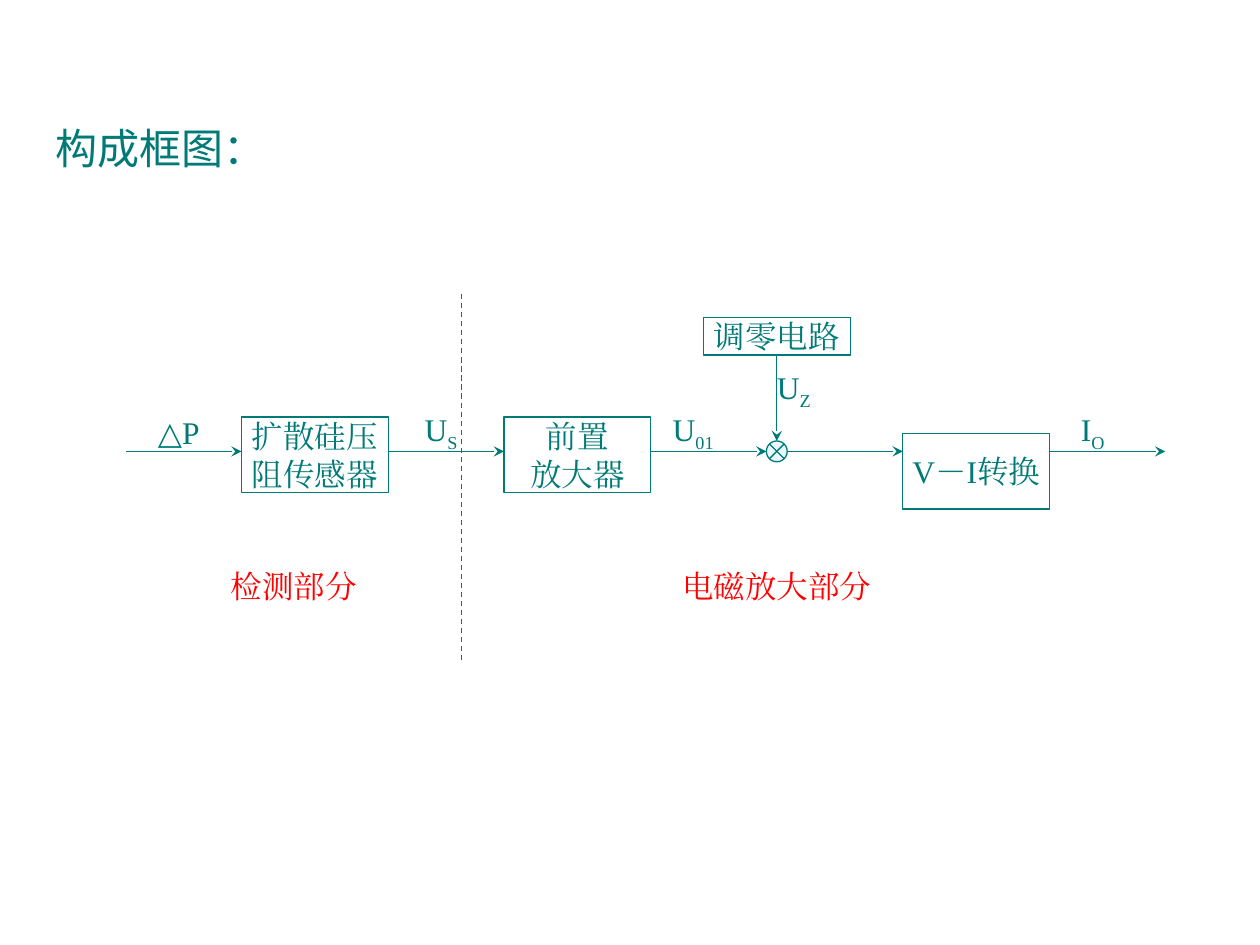
import pptx
import pptx.dml.color
import pptx.enum.dml
import pptx.enum.shapes
import pptx.enum.text
import pptx.oxml
import pptx.oxml.ns
import pptx.util

Cm = pptx.util.Cm
Pt = pptx.util.Pt
Align = pptx.enum.text.PP_ALIGN
Anchor = pptx.enum.text.MSO_ANCHOR
Shape = pptx.enum.shapes.MSO_SHAPE

COLORS = {"teal": "007A77", "red": "FF0000", "pale": "EBF7FF"}
BODY_FONT = "Times New Roman"
TITLE_FONT = "Noto Sans CJK SC"
BLOCK_WIDTH, LINE_HEIGHT = 2.96, 0.76
ARROW_LENGTH, JUNCTION_SIZE = 2.33, 0.42
LABEL_WIDTH = 1.27


def color(name):
    """Return a palette colour."""
    return pptx.dml.color.RGBColor.from_string(COLORS[name])


def add_child(parent, tag, **attributes):
    """Append a drawing element with attributes."""
    child = pptx.oxml.parse_xml(f"<a:{tag} {pptx.oxml.ns.nsdecls('a')}/>")
    for key, value in attributes.items():
        child.set(key, value)
    parent.append(child)


def add_span(para, text, size=18, ink="teal", font=BODY_FONT, subscript=False):
    """Add one formatted run."""
    span = para.add_run()
    span.text = text
    span.font.size = Pt(size)
    span.font.name = font
    span.font.color.rgb = color(ink)
    properties = span.font._element
    add_child(properties, "ea", typeface=font)
    if subscript:
        properties.set("baseline", "-25000")


def prepare_frame(frame, anchor):
    """Remove the insets of a wrapping text frame."""
    frame.margin_left = frame.margin_right = 0
    frame.margin_top = frame.margin_bottom = 0
    frame.word_wrap = True
    frame.vertical_anchor = anchor


def add_label(page, left, top, text, subscript="", width=LABEL_WIDTH, align=Align.CENTER, ink="teal"):
    """Place a signal or section name."""
    box = page.shapes.add_textbox(Cm(left), Cm(top), Cm(width), Cm(LINE_HEIGHT))
    prepare_frame(box.text_frame, Anchor.TOP)
    para = box.text_frame.paragraphs[0]
    para.alignment = align
    add_span(para, text, ink=ink)
    if subscript:
        add_span(para, subscript, ink=ink, subscript=True)


def add_outlined(page, kind, left, top, width, height):
    """Draw a flat shape with the diagram outline."""
    shape = page.shapes.add_shape(kind, Cm(left), Cm(top), Cm(width), Cm(height))
    shape.shadow.inherit = False
    shape.fill.background()
    shape.line.color.rgb = color("teal")
    shape.line.width = Pt(0.75)
    return shape


def add_block(page, left, top, lines, rows=2):
    """Draw a named block that is some text rows high."""
    block = add_outlined(page, Shape.RECTANGLE, left, top, BLOCK_WIDTH, rows * LINE_HEIGHT)
    frame = block.text_frame
    prepare_frame(frame, Anchor.MIDDLE)
    for index, text in enumerate(lines):
        para = frame.add_paragraph() if index else frame.paragraphs[0]
        para.alignment = Align.CENTER
        add_span(para, text)
    return block


def add_line(page, start, end, arrow=True):
    """Draw an arrow, or a dashed divider."""
    line = page.shapes.add_connector(
        pptx.enum.shapes.MSO_CONNECTOR.STRAIGHT, *(Cm(value) for value in (*start, *end)))
    line.line.color.rgb = color("teal")
    line.line.width = Pt(0.75)
    if arrow:
        add_child(line.line._get_or_add_ln(), "tailEnd", type="stealth")
    else:
        line.line.dash_style = pptx.enum.dml.MSO_LINE.DASH
    add_child(line._element.spPr, "effectLst")
    return line


def add_title(page, left, top, width, height):
    """Fill and place the title placeholder."""
    title = page.shapes.title
    title.left, title.top, title.width, title.height = map(Cm, (left, top, width, height))
    frame = title.text_frame
    frame.word_wrap = False
    frame.auto_size = pptx.enum.text.MSO_AUTO_SIZE.NONE
    frame.vertical_anchor = Anchor.MIDDLE
    para = frame.paragraphs[0]
    para.alignment = Align.LEFT
    add_span(para, "构成框图：", size=24, font=TITLE_FONT)


def add_zero_branch(page, center, top, bottom):
    """Draw the zeroing circuit feeding the junction below."""
    block = add_block(page, center - BLOCK_WIDTH / 2, top, ["调零电路"], rows=1)
    arrow = add_line(page, (center, top + LINE_HEIGHT), (center, bottom))
    arrow.begin_connect(block, 2)
    add_label(page, center, top + 1.02, "U", "Z", align=Align.LEFT)


def add_signal_chain(page, left, axis):
    """Draw the chain of arrows, blocks and junction along an axis."""
    stages = [
        (("△P", "", 0.43, 0.77, Align.CENTER), ["扩散硅压阻传感器"], 0.69),
        (("U", "S", 0.43, 0.84, Align.CENTER), ["前置", "放大器"], 0.69),
        (("U", "01", 0.22, 0.84, Align.CENTER), "junction", 0),
        (None, ["V－I转换"], 0.36),
        (("I", "O", 0.63, 0.84, Align.LEFT), None, 0),
    ]
    for signal, target, rise in stages:
        add_line(page, (left, axis), (left + ARROW_LENGTH, axis))
        if signal:
            text, subscript, shift, lift, align = signal
            add_label(page, left + shift, axis - lift, text, subscript, align=align)
        left += ARROW_LENGTH
        if target == "junction":
            radius = JUNCTION_SIZE / 2
            junction = add_outlined(page, Shape.FLOWCHART_SUMMING_JUNCTION, left,
                                    axis - radius, JUNCTION_SIZE, JUNCTION_SIZE)
            junction.fill.solid()
            junction.fill.fore_color.rgb = color("pale")
            add_zero_branch(page, left + radius, axis - 2.7, axis - radius)
            left += JUNCTION_SIZE
        elif target:
            add_block(page, left, axis - rise, target)
            left += BLOCK_WIDTH


def add_sections(page, divider, top, height):
    """Split the diagram and name both parts."""
    add_line(page, (divider, top), (divider, top + height), arrow=False)
    for shift, text in ((-5.5, "检测部分"), (4.23, "电磁放大部分")):
        add_label(page, divider + shift, top + 5.5, text, width=4.23, ink="red")


def main():
    """Build and save the deck."""
    deck = pptx.Presentation()
    deck.slide_width, deck.slide_height = Cm(25.4), Cm(19.05)
    page = deck.slides.add_slide(deck.slide_layouts[5])
    add_title(page, 0.86, 2.34, 4.72, 1.27)
    add_signal_chain(page, 2.54, 9.1)
    add_sections(page, 9.31, 5.93, 7.41)
    deck.save("out.pptx")


if __name__ == "__main__":
    main()
